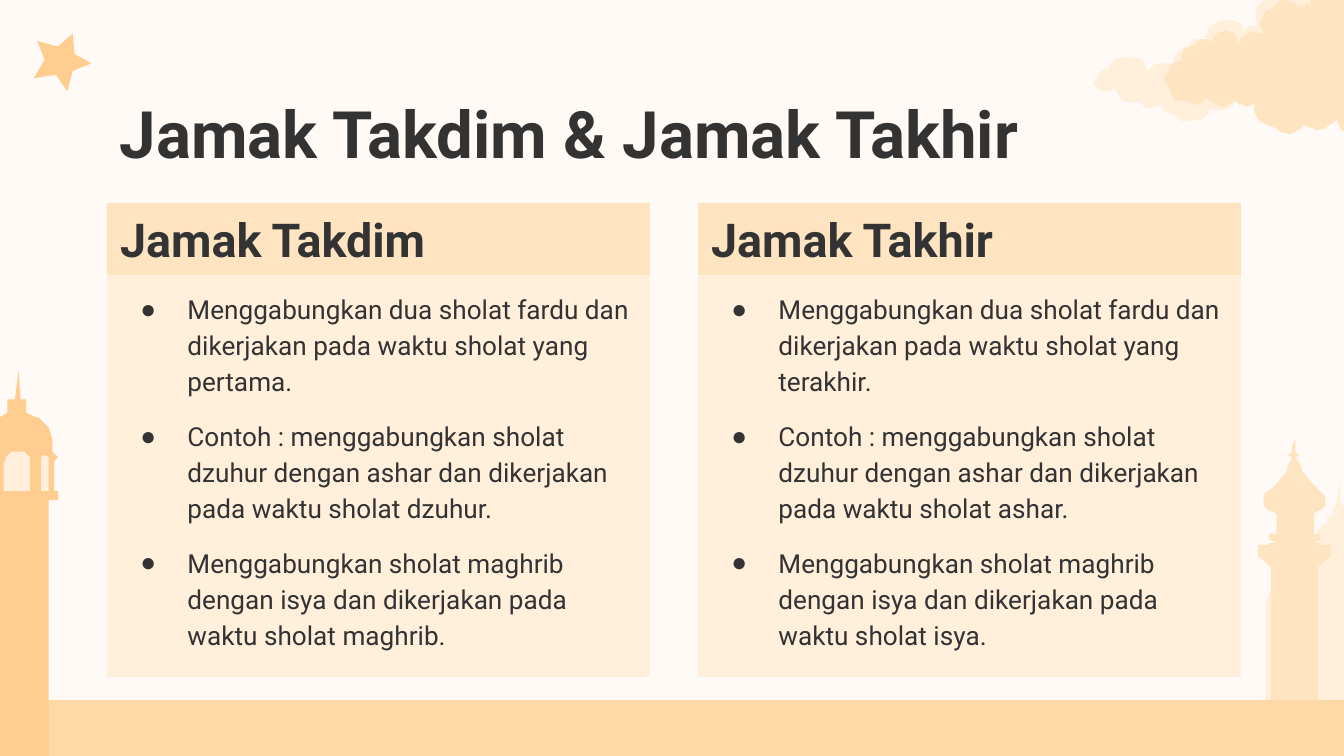
from lxml.etree import SubElement
from pptx import Presentation
from pptx.dml.color import RGBColor
from pptx.enum.shapes import MSO_SHAPE
from pptx.enum.text import MSO_ANCHOR as Anchor, MSO_AUTO_SIZE as AutoSize, PP_ALIGN as Align
from pptx.oxml.ns import qn
from pptx.util import Pt

# Content
TITLE = "Jamak Takdim & Jamak Takhir"
COLUMNS = [
    ("Jamak Takdim", [
        "Menggabungkan dua sholat fardu dan dikerjakan pada waktu sholat yang pertama.",
        "Contoh : menggabungkan sholat dzuhur dengan ashar dan dikerjakan pada waktu sholat dzuhur.",
        "Menggabungkan sholat maghrib dengan isya dan dikerjakan pada waktu sholat maghrib."]),
    ("Jamak Takhir", [
        "Menggabungkan dua sholat fardu dan dikerjakan pada waktu sholat yang terakhir.",
        "Contoh : menggabungkan sholat dzuhur dengan ashar dan dikerjakan pada waktu sholat ashar.",
        "Menggabungkan sholat maghrib dengan isya dan dikerjakan pada waktu sholat isya."]),
]

# Palette
CREAM, PALE, LIGHT, GROUND, STRONG, INK = (
    "FFFAF5", "FFEFDB", "FFE4C2", "FFD8A8", "FFCD8F", "333333")

# Scenery: half profiles are (distance from axis, y, optional bulge), top down
BACK_TOWER = [(0, 257), (1, 268.5), (2.5, 272), (4, 273.5), (4, 277), (6.5, 277),
              (6.5, 279.5), (4, 279.5), (12.5, 289, 0.4), (12.5, 297.5),
              (39, 323, 0.3), (39, 402.5)]
FRONT_TOWER = [(0, 235), (1, 239), (1.5, 240), (1, 240.5), (1, 242.5), (3, 243.5),
               (1, 245), (15, 263.5, -0.15), (10, 275, 0.7), (10, 286), (13.5, 286),
               (13.5, 289), (10, 291), (13.5, 291), (13.5, 292.5), (19.5, 292.5),
               (19.5, 297.5), (12.5, 304), (12.5, 407)]
LEFT_TOWER = [(0, 198.5), (1.5, 214.5), (5, 214.5), (5, 221), (18.5, 242.5, 0.4),
              (21.5, 245), (19.5, 247), (19.5, 263), (21.5, 263), (21.5, 268.5),
              (16.5, 268.5), (16.5, 407)]
WIDE_WINDOW = [(0, 242), (7, 247.5, 0.5), (7, 263)]
SLIM_WINDOW = [(0, 243.5), (2, 248, 0.5), (2, 263)]
STAR = [(39, 18), (31, 25), (20, 22.5), (24.5, 32.5), (18, 42),
        (29.5, 40.5), (36, 49), (39, 38), (49, 34.5), (39.5, 29)]

# Clouds: joints between puffs; both share the underside
UNDERSIDE = [(672, 55.5), (682, 67.5), (699, 67), (715.5, 63.5), (732, 72), (749.5, 79)]
BACK_CLOUD = [(780.5, -8.5), (760.5, 0), (745, -2), (728.5, -24), (710, -21), (699, -2),
              (695.5, 0), (682, -3.5), (674, 15), (666, 17.5), (660, 11), (645, 22),
              (636, 25), (629.5, 36.5), (615, 38), (602.5, 31), (594, 37.5), (587.5, 42),
              (587.5, 47), (597, 47), (610.5, 54.5), (622, 55.5), (628.5, 60.5),
              (639.5, 64), (648, 57.5), (662.5, 53.5)] + UNDERSIDE
FRONT_CLOUD = [(729.5, -17), (713, -16.5), (702.5, 3), (697.5, 4.5), (695, 3), (682, 3.5),
               (677, 18.5), (663, 24), (656.5, 16.5), (650, 22.5), (639.5, 24.5),
               (633.5, 33), (626.5, 37.5), (626.5, 47), (635, 54.5), (646.5, 52),
               (662.5, 53.5)] + UNDERSIDE + [(779, 3), (760.5, 11.5), (741, 7)]

prs = Presentation()
prs.slide_width, prs.slide_height = Pt(720), Pt(405)
slide = prs.slides.add_slide(prs.slide_layouts.get_by_name("Comparison"))


def paint(fill, color):
    fill.solid()
    fill.fore_color.rgb = RGBColor.from_string(color)


def trace(joints, steps=8):
    """Turn joints with bulges into points along quadratic curves."""
    points = [joints[0][:2]]
    for x, y, *bulge in joints[1:]:
        x0, y0 = points[-1]
        if not bulge:
            points.append((x, y))
            continue
        cx = (x0 + x) / 2 + bulge[0] * (y - y0)
        cy = (y0 + y) / 2 - bulge[0] * (x - x0)
        for t in (i / steps for i in range(1, steps + 1)):
            a, b, c = (1 - t) ** 2, 2 * t * (1 - t), t * t
            points.append((a * x0 + b * cx + c * x, a * y0 + b * cy + c * y))
    return points


def finish(shape, color):
    paint(shape.fill, color)
    shape.line.fill.background()
    shape.shadow.inherit = False


def outline(points, color):
    builder = slide.shapes.build_freeform(*points[0], scale=Pt(1))
    builder.add_line_segments(points[1:], close=True)
    finish(builder.convert_to_shape(), color)


def symmetric(axis, profile, color):
    half = trace(profile)
    outline([(axis + d, y) for d, y in half]
            + [(axis - d, y) for d, y in reversed(half)], color)


def cloud(joints, color):
    outline(trace([joints[0]] + [(x, y, -0.5) for x, y in joints[1:]]), color)


def write(holder, lines, box, size, bold=False, anchor=Anchor.TOP, fill=None):
    holder.left, holder.top, holder.width, holder.height = map(Pt, box)
    holder.element.getparent().append(holder.element)  # text in front of scenery
    if fill:
        paint(holder.fill, fill)
    frame = holder.text_frame
    frame.text = "\n".join(lines)
    frame.word_wrap, frame.auto_size, frame.vertical_anchor = True, AutoSize.NONE, anchor
    frame.margin_left = frame.margin_right = frame.margin_top = frame.margin_bottom = Pt(7.2)
    for paragraph in frame.paragraphs:
        paragraph.alignment, paragraph.space_before = Align.LEFT, Pt(0)
        font = paragraph.font
        font.name, font.size, font.bold = "Roboto", Pt(size), bold
        font.color.rgb = RGBColor.from_string(INK)
    return frame.paragraphs


def bullet(paragraph):
    props = paragraph._p.get_or_add_pPr()
    props.set("marL", str(Pt(36)))
    props.set("indent", str(Pt(-25.2)))
    SubElement(props, qn("a:buChar")).set("char", "●")


# Scenery, back to front
paint(slide.background.fill, CREAM)
symmetric(717.5, BACK_TOWER, PALE)
symmetric(693.5, FRONT_TOWER, LIGHT)
finish(slide.shapes.add_shape(MSO_SHAPE.RECTANGLE, Pt(0), Pt(375), Pt(720), Pt(32)), GROUND)
outline(STAR, STRONG)
cloud(BACK_CLOUD, PALE)
cloud(FRONT_CLOUD, LIGHT)
symmetric(9.5, LEFT_TOWER, STRONG)
symmetric(9.5, WIDE_WINDOW, PALE)
symmetric(24, SLIM_WINDOW, PALE)

# Title and the two columns
write(slide.shapes.title, [TITLE], (57, 42.5, 607, 45.5), 35, bold=True)
for i, (heading, points) in enumerate(COLUMNS):
    left, width = 57.2 + 316.6 * i, 291
    write(slide.placeholders[1 + 2 * i], [heading], (left, 108.7, width, 38.9), 25,
          bold=True, anchor=Anchor.MIDDLE, fill=LIGHT)
    body = write(slide.placeholders[2 + 2 * i], points, (left, 147.6, width, 215), 14, fill=PALE)
    for n, paragraph in enumerate(body):
        paragraph.line_spacing = 1.15
        paragraph.space_before = Pt(10 if n else 0)
        bullet(paragraph)

prs.save("out.pptx")
